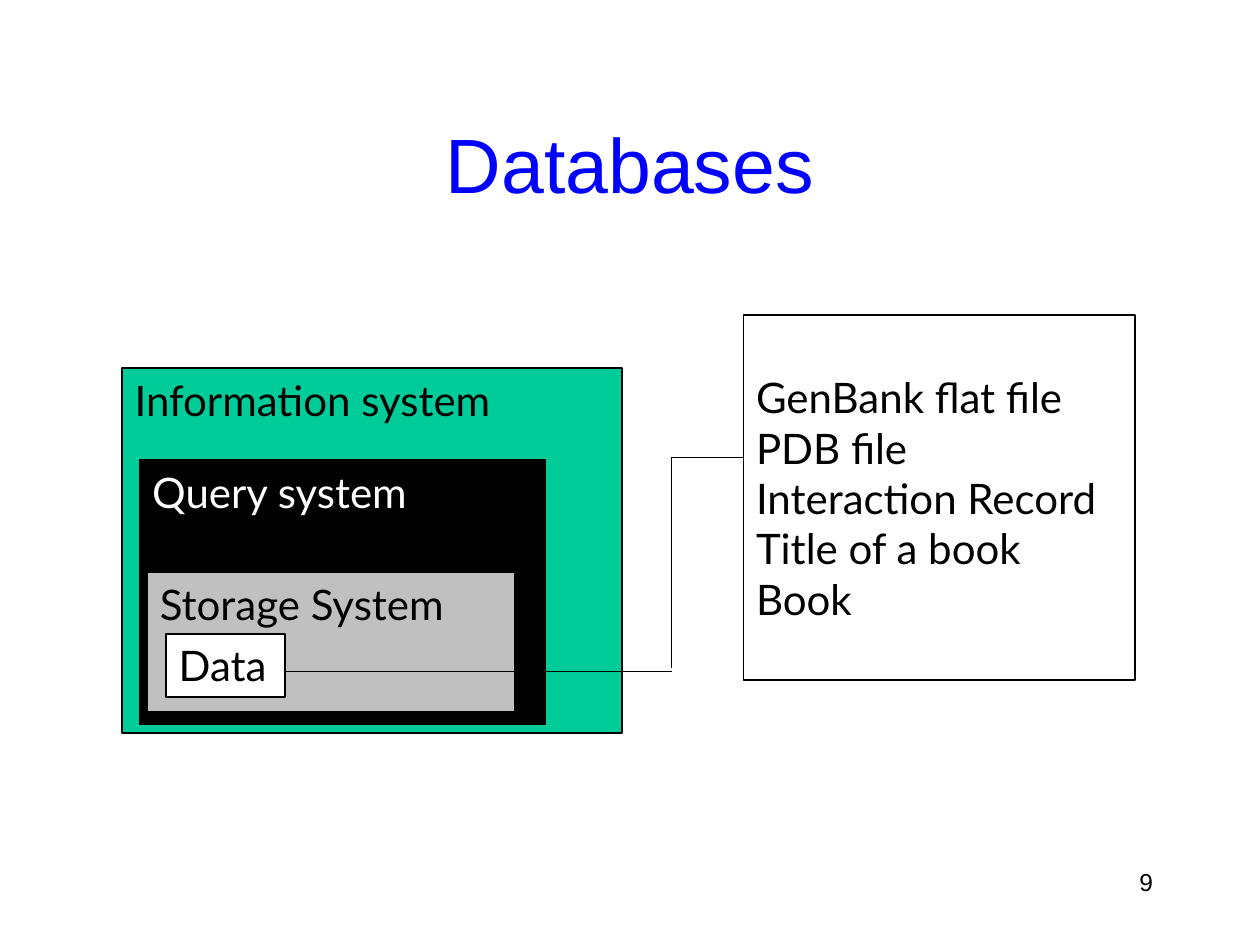
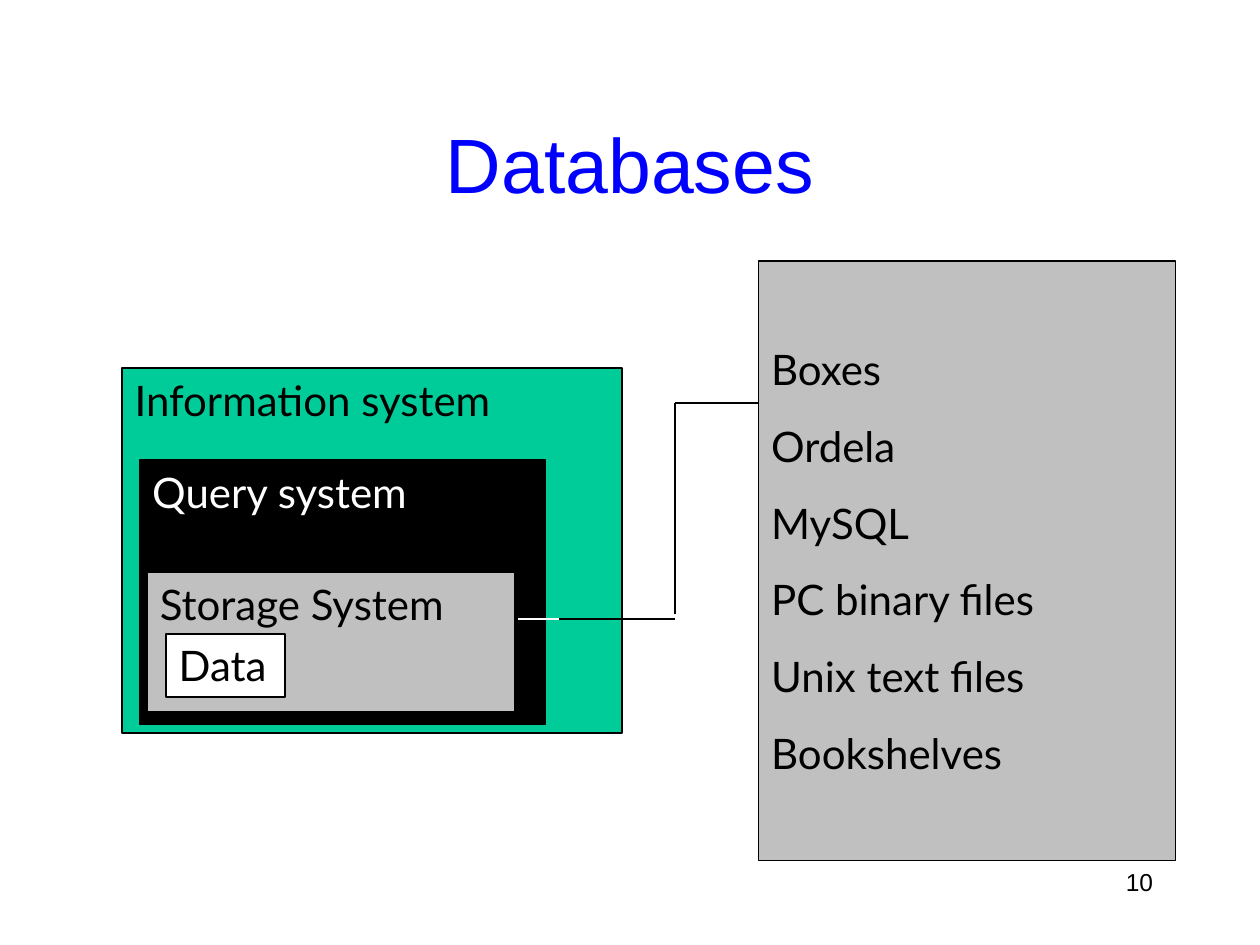
from dataclasses import dataclass

from lxml.etree import SubElement
from pptx import Presentation
from pptx.dml.color import RGBColor
from pptx.enum.shapes import MSO_CONNECTOR as Link, MSO_SHAPE as Form
from pptx.enum.text import MSO_ANCHOR as Anchor, MSO_AUTO_SIZE as Fit, PP_ALIGN as Align
from pptx.oxml.ns import qn
from pptx.util import Emu, Pt

# Shared scale, colours and fonts
SCALE = 9144  # EMU in one px, at 100 px to the inch
BLACK = RGBColor(0x00, 0x00, 0x00)
WHITE = RGBColor(0xFF, 0xFF, 0xFF)
BLUE = RGBColor(0x00, 0x00, 0xFF)
GREEN = RGBColor(0x00, 0xCC, 0x99)
GREY = RGBColor(0xC0, 0xC0, 0xC0)
SANS = "Arial"
LATO = "Lato"


@dataclass(frozen=True)
class Area:
    left: int
    top: int
    width: int
    height: int


@dataclass(frozen=True)
class Box:
    text: str
    area: Area
    fill: RGBColor
    color: RGBColor = BLACK
    wrap: bool = True


@dataclass(frozen=True)
class Line:
    start: tuple[int, int]
    end: tuple[int, int]
    color: RGBColor = BLACK


@dataclass(frozen=True)
class Page:
    number: int
    items: tuple[str, ...]
    area: Area
    fill: RGBColor
    inset: int  # px above the first item
    gap: int  # points between items
    lines: tuple[Line, ...]


TITLE = Area(75, 67, 850, 125)
NUMBER = Area(717, 683, 208, 50)

# Nested layers, from outside to inside
LAYERS = (
    Box("Information system", Area(97, 292, 397, 290), GREEN),
    Box("Query system", Area(111, 365, 322, 210), BLACK, WHITE),
    Box("Storage System", Area(117, 454, 292, 111), GREY),
    Box("Data", Area(132, 503, 94, 50), WHITE, wrap=False),
)

PAGES = (
    Page(
        9,
        ("GenBank flat file", "PDB file", "Interaction Record\nTitle of a book", "Book"),
        Area(590, 250, 311, 290), WHITE, 45, 0,
        (
            Line((225, 533), (533, 533)),
            Line((533, 363), (590, 363)),
            Line((533, 363), (533, 530)),
        ),
    ),
    Page(
        10,
        ("Boxes", "Ordela", "MySQL", "PC binary files", "Unix text files", "Bookshelves"),
        Area(602, 207, 331, 476), GREY, 66, 15,
        (
            Line((411, 491), (536, 491)),
            Line((536, 320), (602, 320)),
            Line((536, 320), (536, 487)),
            Line((444, 491), (411, 491), WHITE),
        ),
    ),
)


def px(count: int) -> Emu:
    return Emu(count * SCALE)


def spot(area: Area) -> tuple[Emu, ...]:
    return px(area.left), px(area.top), px(area.width), px(area.height)


def move(shape, area: Area) -> None:
    shape.left, shape.top, shape.width, shape.height = spot(area)


def paint(shape, fill: RGBColor) -> None:
    shape.fill.solid()
    shape.fill.fore_color.rgb = fill
    shape.line.color.rgb = BLACK
    shape.line.width = Pt(1)


def write(shape, *texts: str, size: int = 24, font: str = LATO, color: RGBColor = BLACK,
          align: Align = Align.LEFT, anchor: Anchor = Anchor.TOP, inset: int = 5,
          gap: int = 0, wrap: bool = True) -> None:
    """Put one paragraph per text into the shape, without bullets."""
    frame = shape.text_frame
    frame.auto_size = Fit.NONE
    frame.word_wrap = wrap
    frame.vertical_anchor = anchor
    frame.margin_left = frame.margin_right = px(10)
    frame.margin_top, frame.margin_bottom = px(inset), px(5)
    for index, text in enumerate(texts):
        para = frame.add_paragraph() if index else frame.paragraphs[0]
        para.text = text
        props = para._p.get_or_add_pPr()
        props.set("marL", "0")
        props.set("indent", "0")
        SubElement(props, qn("a:buNone"))
        para.alignment = align
        para.space_before = Pt(gap if index else 0)
        for run in para.runs:
            run.font.size = Pt(size)
            run.font.name = font
            run.font.color.rgb = color


def layer(slide, box: Box) -> None:
    shape = slide.shapes.add_shape(Form.RECTANGLE, *spot(box.area))
    shape.shadow.inherit = False
    paint(shape, box.fill)
    write(shape, box.text, color=box.color, wrap=box.wrap)


def rule(slide, line: Line) -> None:
    ends = (px(value) for value in line.start + line.end)
    shape = slide.shapes.add_connector(Link.STRAIGHT, *ends)
    shape.line.color.rgb = line.color
    shape.line.width = Pt(1)
    SubElement(shape._element.spPr, qn("a:effectLst"))


def build(deck, page: Page) -> None:
    slide = deck.slides.add_slide(deck.slide_layouts[1])
    title, body = slide.placeholders

    # Title
    move(title, TITLE)
    write(title, "Databases", size=44, font=SANS, color=BLUE,
          align=Align.CENTER, anchor=Anchor.MIDDLE)

    # List of examples
    move(body, page.area)
    paint(body, page.fill)
    write(body, *page.items, inset=page.inset, gap=page.gap)

    # Layers and the lines to the list
    for box in LAYERS:
        layer(slide, box)
    for line in page.lines:
        rule(slide, line)

    # Slide number
    foot = slide.shapes.add_textbox(*spot(NUMBER))
    write(foot, str(page.number), size=14, font=SANS, align=Align.RIGHT)


def main() -> None:
    deck = Presentation()
    deck.slide_width, deck.slide_height = px(1000), px(750)
    for page in PAGES:
        build(deck, page)
    deck.save("out.pptx")


if __name__ == "__main__":
    main()
